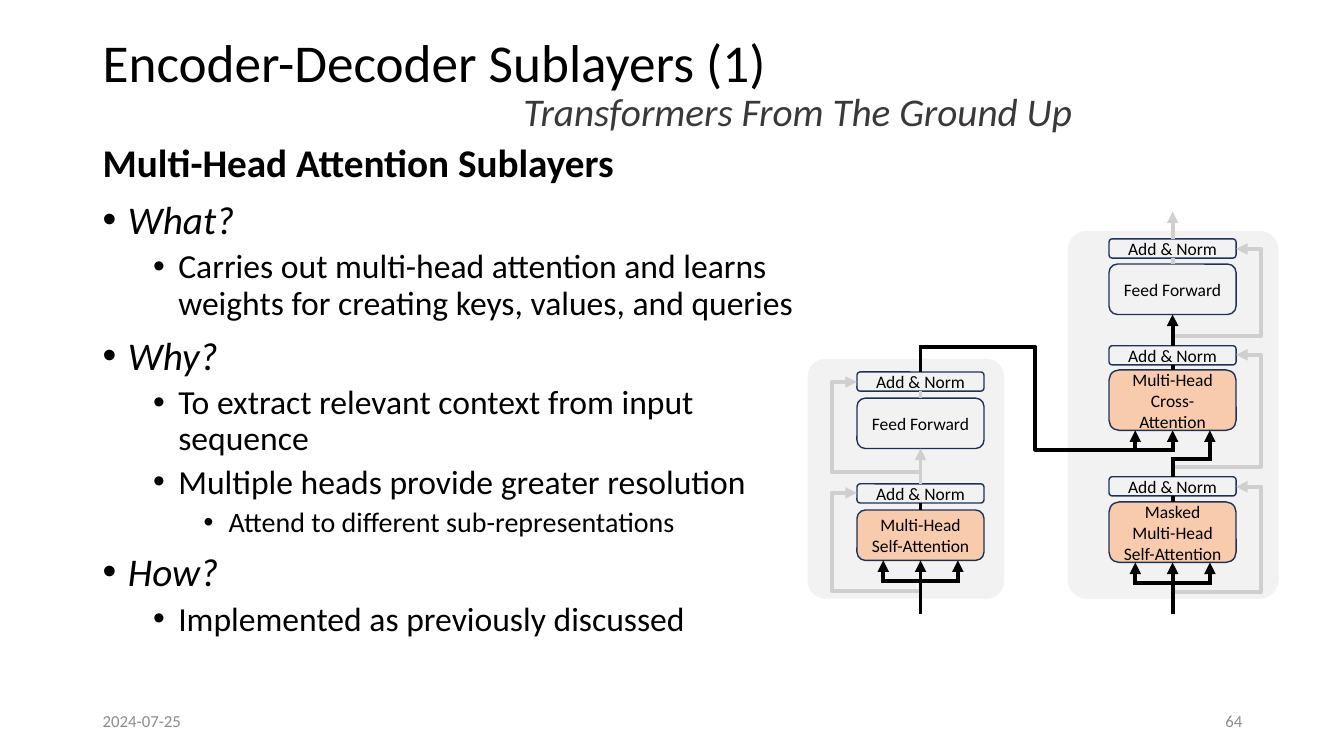
from lxml import etree
from pptx import Presentation
from pptx.dml.color import RGBColor
from pptx.enum.shapes import MSO_CONNECTOR, MSO_SHAPE
from pptx.enum.text import MSO_ANCHOR, PP_ALIGN
from pptx.oxml.ns import qn
from pptx.util import Pt

PX = 9144
FONT = "Calibri"
BLACK = RGBColor(0x00, 0x00, 0x00)
DARK = RGBColor(0x3B, 0x38, 0x38)
MUTED = RGBColor(0x8C, 0x8C, 0x8C)
GRAY = RGBColor(0xD0, 0xCE, 0xCE)
PANEL = RGBColor(0xF3, 0xF2, 0xF2)
PALE = RGBColor(0xF2, 0xF2, 0xF2)
PEACH = RGBColor(0xF8, 0xCB, 0xAD)
NAVY = RGBColor(0x1E, 0x32, 0x56)
STRAIGHT, ELBOW = MSO_CONNECTOR.STRAIGHT, MSO_CONNECTOR.ELBOW
ROUND = MSO_SHAPE.ROUNDED_RECTANGLE
TOP, MIDDLE = MSO_ANCHOR.TOP, MSO_ANCHOR.MIDDLE
LEFT, CENTER, RIGHT = PP_ALIGN.LEFT, PP_ALIGN.CENTER, PP_ALIGN.RIGHT

BOX_W = 126
NORM_H = 19
FAN = 37
FOOT = 609
NORM = "Add & Norm"
FEED = "Feed Forward"

POINTS = [
    (0, "What?"),
    (1, "Carries out multi-head attention and learns weights for creating keys, values, and queries"),
    (0, "Why?"),
    (1, "To extract relevant context from input sequence"),
    (1, "Multiple heads provide greater resolution"),
    (2, "Attend to different sub-representations"),
    (0, "How?"),
    (1, "Implemented as previously discussed"),
]


def emu(*sizes):
    return [size * PX for size in sizes]


def write(para, text, size=12, color=BLACK, bold=False, italic=False,
          align=LEFT, spacing=1.0, before=0):
    para.text = text
    para.alignment = align
    para.line_spacing = spacing
    para.space_before = Pt(before)
    font = para.font
    font.name, font.size = FONT, Pt(size)
    font.bold, font.italic = bold, italic
    font.color.rgb = color


def text_box(slide, box, anchor=MIDDLE):
    frame = slide.shapes.add_textbox(*emu(*box)).text_frame
    frame.word_wrap = True
    frame.vertical_anchor = anchor
    return frame


def label(slide, box, text, **look):
    write(text_box(slide, box).paragraphs[0], text, **look)


def bullet(para, level):
    props = para._p.get_or_add_pPr()
    props.set("marL", str((25 + 50 * level) * PX))
    props.set("indent", str(-25 * PX))
    etree.SubElement(props, qn("a:buFont"), typeface="Arial")
    etree.SubElement(props, qn("a:buChar"), char="•")


def body(slide, box):
    frame = text_box(slide, box, TOP)
    write(frame.paragraphs[0], "Multi-Head Attention Sublayers",
          size=28, bold=True, spacing=0.9)
    for level, text in POINTS:
        para = frame.add_paragraph()
        bullet(para, level)
        write(para, text, size=28 - 4 * level, italic=level == 0,
              spacing=0.9, before=5 if level else 10)


def block(slide, box, color, edge=None, text=""):
    shape = slide.shapes.add_shape(ROUND, *emu(*box))
    shape.shadow.inherit = False
    shape.fill.solid()
    shape.fill.fore_color.rgb = color
    if edge is None:
        shape.line.fill.background()
        shape.adjustments[0] = 0.09
        return shape
    shape.line.color.rgb = edge
    shape.line.width = Pt(1)
    frame = shape.text_frame
    frame.word_wrap = True
    frame.vertical_anchor = MIDDLE
    frame.margin_top = frame.margin_bottom = 0
    write(frame.paragraphs[0], text, size=12.5, align=CENTER)
    return shape


def wire(slide, start=(0, 0), end=(0, 0), color=BLACK, arrow=False,
         source=None, target=None, turn=None):
    kind = STRAIGHT if turn is None else ELBOW
    line = slide.shapes.add_connector(kind, *emu(*start, *end))
    if source is not None:
        line.begin_connect(source, 0)
    if target is not None:
        line.end_connect(target, 2)
    line.line.color.rgb = color
    line.line.width = Pt(2.75)
    props = line._element.spPr
    if arrow:
        etree.SubElement(props.find(qn("a:ln")), qn("a:tailEnd"), type="triangle")
    etree.SubElement(props, qn("a:effectLst"))
    if turn is not None:
        ratio = (turn - start[0]) / (end[0] - start[0])
        guides = props.find(qn("a:prstGeom")).get_or_add_avLst()
        etree.SubElement(guides, qn("a:gd"), name="adj1",
                         fmla=f"val {round(ratio * 100000)}")


def stack(slide, box, inset, parts):
    x, y, w, h = box
    block(slide, box, PANEL)
    return [block(slide, (x + inset, y + down, BOX_W, tall), color, NAVY, text)
            for down, tall, color, text in parts]


def loop(slide, mid, low, high, side):
    edge = mid + side * BOX_W // 2
    wire(slide, (mid, low), (edge, high), GRAY, True, turn=edge + side * 25)


def fan(slide, mid, bar, tip, target):
    wire(slide, (mid - FAN - 2, bar), (mid + FAN + 2, bar))
    for x in (mid - FAN, mid + FAN):
        wire(slide, (x, bar), (x, tip), arrow=True)
    wire(slide, (mid, FOOT), arrow=True, target=target)


def encoder(slide, box):
    x, y, w, h = box
    mid = x + 49 + BOX_W // 2
    out, feed, norm, focus = stack(slide, box, 49, [
        (13, NORM_H, PALE, NORM), (39, 50, PALE, FEED),
        (124, NORM_H, PALE, NORM),
        (150, 50, PEACH, "Multi-Head Self-Attention")])
    loop(slide, mid, y + 230, y + 133, -1)
    loop(slide, mid, y + 112, y + 23, -1)
    wire(slide, source=focus, target=norm)
    wire(slide, source=norm, target=feed, color=GRAY, arrow=True)
    wire(slide, source=feed, target=out, color=GRAY)
    fan(slide, mid, y + 220, y + 200, focus)
    return out


def decoder(slide, box):
    x, y, w, h = box
    mid = x + 41 + BOX_W // 2
    out, feed, upper, cross, lower, masked = stack(slide, box, 41, [
        (8, NORM_H, PALE, NORM), (33, 50, PALE, FEED),
        (114, NORM_H, PALE, NORM),
        (138, 60, PEACH, "Multi-Head Cross-Attention"),
        (244, NORM_H, PALE, NORM),
        (269, 60, PEACH, "Masked Multi-Head Self-Attention")])
    for low, high in ((358, 254), (234, 123), (104, 18)):
        loop(slide, mid, y + low, y + high, 1)
    wire(slide, source=masked, target=lower)
    wire(slide, source=cross, target=upper)
    wire(slide, source=upper, target=feed, arrow=True)
    wire(slide, source=feed, target=out, color=GRAY)
    wire(slide, end=(mid, y - 19), source=out, color=GRAY, arrow=True)
    fan(slide, mid, y + 349, y + 329, masked)
    wire(slide, end=(mid, y + 224), source=lower)
    wire(slide, (mid, y + 226), (mid + FAN + 2, y + 226))
    wire(slide, (mid + FAN, y + 226), (mid + FAN, y + 198), arrow=True)
    wire(slide, (mid - FAN, y + 217), (mid - FAN, y + 198), arrow=True)
    wire(slide, (mid, y + 217), arrow=True, target=cross)
    return mid, y + 217


def bridge(slide, source, end):
    mid = 913
    wire(slide, end=(mid, 342), source=source)
    wire(slide, (mid, 344), (end[0] + 2, end[1]), turn=1027)


def main():
    deck = Presentation()
    deck.slide_width, deck.slide_height = emu(1333, 750)
    slide = deck.slides.add_slide(deck.slide_layouts[6])
    label(slide, (92, 15, 1150, 99), "Encoder-Decoder Sublayers (1)",
          size=38, spacing=0.9)
    label(slide, (92, 695, 300, 40), "2024-07-25", color=MUTED)
    label(slide, (942, 695, 300, 40), "64", color=MUTED, align=RIGHT)
    body(slide, (92, 138, 709, 538))
    label(slide, (99, 78, 974, 69), "Transformers From The Ground Up",
          size=28, color=DARK, italic=True, align=RIGHT, spacing=0.9)
    end = decoder(slide, (1059, 229, 209, 365))
    source = encoder(slide, (801, 356, 195, 238))
    bridge(slide, source, end)
    deck.save("out.pptx")


if __name__ == "__main__":
    main()
